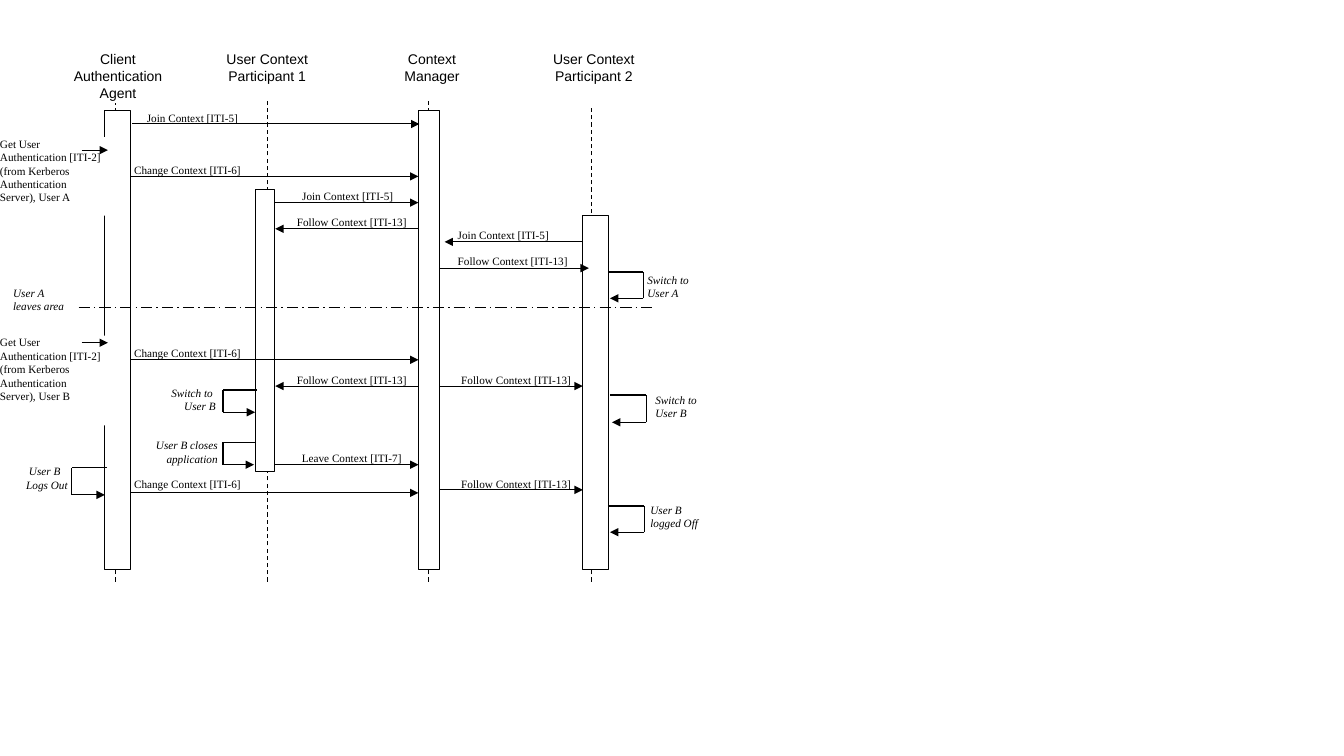
from lxml import etree
from pptx import Presentation
from pptx.dml.color import RGBColor
from pptx.enum.dml import MSO_LINE_DASH_STYLE as Dash
from pptx.enum.shapes import MSO_CONNECTOR, MSO_SHAPE
from pptx.enum.text import MSO_ANCHOR, PP_ALIGN as Align
from pptx.oxml.ns import qn
from pptx.util import Inches, Pt

COLORS = {"ink": "000000", "paper": "FFFFFF"}
SANS, SERIF = "Arial", "Times New Roman"

# Header text, header left, top-aligned width and height, lifeline x
ACTORS = [
    ("Client Authentication Agent", 0.65, 1.04, 0.52, 1.15),
    ("User Context\nParticipant 1", 2.13, 1.04, 0.5, 2.65),
    ("Context\nManager", 3.77, 1.03, 0.35, 4.25),
    ("User Context\nParticipant 2", 5.39, 1, 0.56, 5.865),
]

# Activation bars: left, top, width, height
BARS = [
    (1.04, 1.1, 0.25, 4.55),
    (2.53, 1.88, 0.19, 2.8),
    (4.15, 1.1, 0.21, 4.55),
    (5.78, 2.14, 0.26, 3.51),
]

# Messages: text, label left, label top, label width, alignment, arrow start, arrow tip, arrow y
MESSAGES = [
    ("Join Context [ITI-5]", 1.33, 1.1, 1.16, Align.CENTER, 1.31, 4.16, 1.23),
    ("Change Context [ITI-6]", 1.33, 1.62, 1.26, Align.LEFT, 1.3, 4.15, 1.75),
    ("Join Context [ITI-5]", 2.87, 1.88, 1.16, Align.CENTER, 2.73, 4.15, 2.01),
    ("Follow Context [ITI-13]", 2.86, 2.14, 1.26, Align.CENTER, 4.15, 2.73, 2.27),
    ("Join Context [ITI-5]", 4.54, 2.27, 1.2, Align.LEFT, 5.78, 4.41, 2.4),
    ("Follow Context [ITI-13]", 4.54, 2.52, 1.3, Align.LEFT, 4.36, 5.84, 2.66),
    ("Change Context [ITI-6]", 1.33, 3.44, 1.26, Align.LEFT, 1.3, 4.15, 3.57),
    ("Follow Context [ITI-13]", 2.86, 3.7, 1.26, Align.CENTER, 4.15, 2.73, 3.83),
    ("Follow Context [ITI-13]", 4.49, 3.7, 1.26, Align.CENTER, 4.36, 5.78, 3.83),
    ("Leave Context [ITI-7]", 2.86, 4.48, 1.26, Align.CENTER, 2.73, 4.15, 4.61),
    ("Change Context [ITI-6]", 1.33, 4.74, 1.26, Align.LEFT, 1.3, 4.15, 4.89),
    ("Follow Context [ITI-13]", 4.49, 4.74, 1.26, Align.CENTER, 4.36, 5.78, 4.86),
]

# Incoming logins: user, label top, label height, arrow y
LOGINS = [("User A", 1.36, 0.78, 1.49), ("User B", 3.33, 0.89, 3.4)]

# Notes: text, left, top, width, height, alignment
NOTES = [
    ("User A \nleaves area", 0.13, 2.84, 0.65, 0.33, Align.LEFT),
    ("Switch to \nUser A", 6.42, 2.71, 0.78, 0.26, Align.LEFT),
    ("Switch to \nUser B", 1.36, 3.83, 0.78, 0.26, Align.RIGHT),
    ("Switch to \nUser B", 6.5, 3.9, 0.78, 0.26, Align.LEFT),
    ("User B closes application", 1.38, 4.35, 0.78, 0.33, Align.RIGHT),
    (" User B Logs Out", 0.26, 4.61, 0.51, 0.33, Align.LEFT),
    ("User B\nlogged Off", 6.45, 4.99, 0.78, 0.26, Align.LEFT),
]

# Self-calls: start x, turn x, tip x, start y, tip y
SELF_CALLS = [
    (6.03, 6.38, 6.05, 2.7, 2.96),
    (6.05, 6.41, 6.07, 3.92, 4.19),
    (6.03, 6.39, 6.05, 5.02, 5.28),
    (1.06, 0.71, 1.04, 4.64, 4.91),
    (2.55, 2.21, 2.53, 3.87, 4.09),
    (2.54, 2.21, 2.52, 4.39, 4.61),
]


def color(name):
    return RGBColor.from_string(COLORS[name])


def add_label(page, text, left, top, width, height, align=Align.LEFT,
              size=8, font=SERIF, italic=False, filled=True):
    box = page.shapes.add_textbox(Inches(left), Inches(top), Inches(width), Inches(height))
    if filled:
        box.fill.solid()
        box.fill.fore_color.rgb = color("paper")
    frame = box.text_frame
    frame.word_wrap = True
    frame.vertical_anchor = MSO_ANCHOR.TOP
    frame.margin_left = frame.margin_right = frame.margin_top = frame.margin_bottom = 0
    para = frame.paragraphs[0]
    para.alignment = align
    for index, line in enumerate(text.split("\n")):
        if index:
            para.add_line_break()
        span = para.add_run()
        span.text = line
        span.font.size = Pt(size)
        span.font.name = font
        span.font.italic = italic
        span.font.color.rgb = color("ink")


def add_bar(page, left, top, width, height):
    bar = page.shapes.add_shape(
        MSO_SHAPE.RECTANGLE, Inches(left), Inches(top), Inches(width), Inches(height))
    bar.shadow.inherit = False
    bar.fill.solid()
    bar.fill.fore_color.rgb = color("paper")
    bar.line.color.rgb = color("ink")
    bar.line.width = Pt(0.75)


def add_line(page, x1, y1, x2, y2, width=0.75, dash=None, arrow=False):
    line = page.shapes.add_connector(
        MSO_CONNECTOR.STRAIGHT, Inches(x1), Inches(y1), Inches(x2), Inches(y2))
    line.line.color.rgb = color("ink")
    line.line.width = Pt(width)
    if dash:
        line.line.dash_style = dash
    if arrow:
        etree.SubElement(line.line._get_or_add_ln(), qn("a:tailEnd"), type="triangle")
    etree.SubElement(line._element.spPr, qn("a:effectLst"))


def add_self_call(page, start, turn, tip, top, bottom):
    add_line(page, start, top, turn, top, width=1)
    add_line(page, turn, top, turn, bottom, width=1)
    add_line(page, turn, bottom, tip, bottom, arrow=True)


def main():
    deck = Presentation()
    deck.slide_width, deck.slide_height = Inches(13.33), Inches(7.5)
    page = deck.slides.add_slide(deck.slide_layouts[6])

    # Lifelines, headers and activation bars
    for name, left, width, height, x in ACTORS:
        add_line(page, x, 5.77, x, 1, dash=Dash.DASH)
        add_label(page, name, left, 0.5, width, height, Align.CENTER, size=10, font=SANS)
    for bar in BARS:
        add_bar(page, *bar)

    # Messages between the actors
    for text, left, top, width, align, start, tip, y in MESSAGES:
        add_label(page, text, left, top, width, 0.13, align, filled=False)
        add_line(page, start, y, tip, y, arrow=True)

    # Logins from outside
    for user, top, height, y in LOGINS:
        text = f"Get User Authentication [ITI-2] (from Kerberos Authentication Server), {user}"
        add_label(page, text, 0, top, 1.04, height)
        add_line(page, 0.81, y, 1.07, y, arrow=True)

    # Notes, the change of user, and self-calls
    for note in NOTES:
        add_label(page, *note, italic=True)
    add_line(page, 0.78, 3.05, 6.49, 3.05, width=1, dash=Dash.LONG_DASH_DOT)
    for call in SELF_CALLS:
        add_self_call(page, *call)

    deck.save("out.pptx")


if __name__ == "__main__":
    main()
